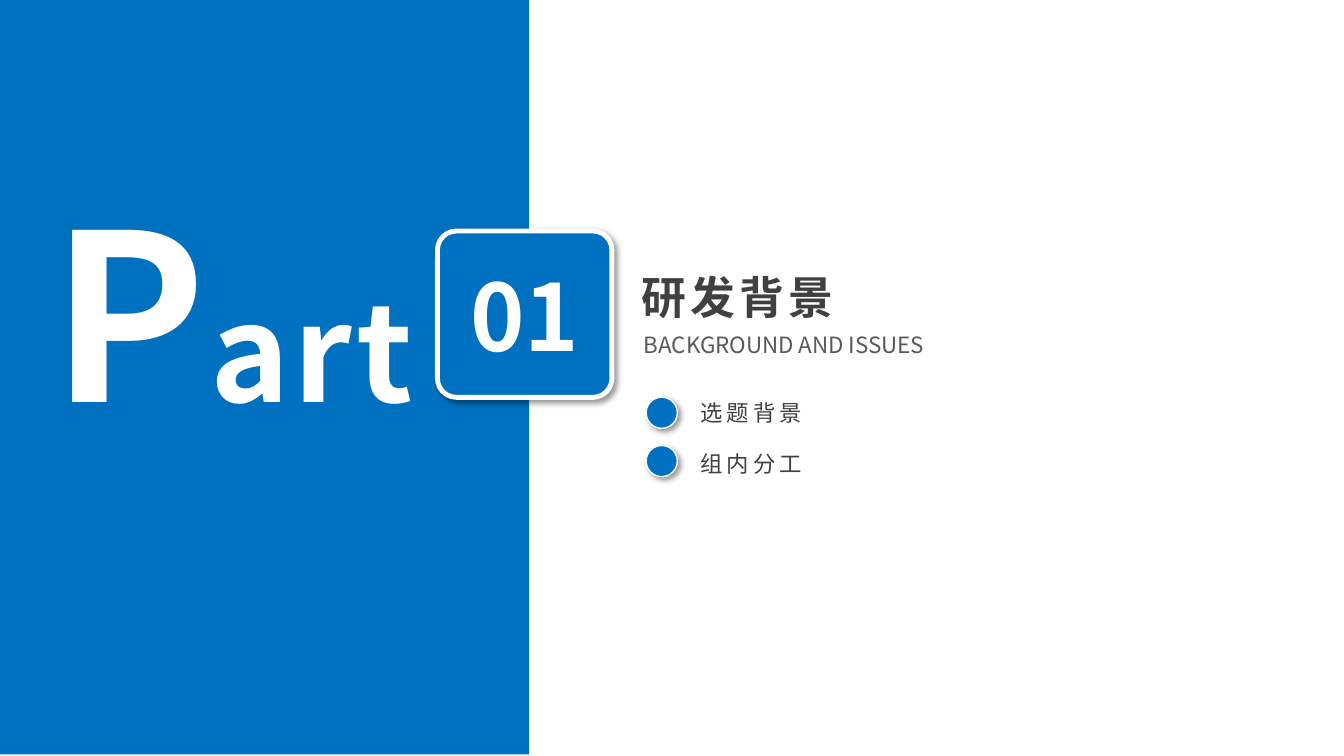
import pptx
import pptx.util
import pptx.dml.color
import pptx.enum.shapes
import pptx.enum.text
import pptx.oxml
import pptx.oxml.ns
from dataclasses import dataclass

Pt = pptx.util.Pt
SHAPES = pptx.enum.shapes.MSO_SHAPE
ALIGN = pptx.enum.text.PP_ALIGN


@dataclass(frozen=True)
class Theme:
    font: str = "Noto Sans CJK SC"
    blue: str = "0070C0"
    white: str = "FFFFFF"
    dark: str = "404040"
    grey: str = "595959"
    initial: int = 166
    label: int = 96
    number: int = 66
    title: int = 32
    body: int = 16
    spacing: int = 3


class SectionPage:
    def __init__(self, deck, theme):
        self.theme = theme
        self.page = deck.slides.add_slide(deck.slide_layouts[6])

    def shape(self, kind, left, top, width, height, outline=0, corner=None):
        shape = self.page.shapes.add_shape(
            kind, Pt(left), Pt(top), Pt(width), Pt(height))
        shape.shadow.inherit = False
        shape.fill.solid()
        shape.fill.fore_color.rgb = pptx.dml.color.RGBColor.from_string(self.theme.blue)
        if corner is not None:
            shape.adjustments[0] = corner
        if outline:
            shape.line.width = Pt(outline)
            shape.line.color.rgb = pptx.dml.color.RGBColor.from_string(self.theme.white)
            self.cast_shadow(shape)
        else:
            shape.line.fill.background()

    def cast_shadow(self, shape):
        effects = shape._element.spPr.find(pptx.oxml.ns.qn("a:effectLst"))
        effects.append(pptx.oxml.parse_xml(
            f'<a:outerShdw {pptx.oxml.ns.nsdecls("a")} blurRad="{Pt(4)}" dist="{Pt(3)}"'
            ' dir="2700000" algn="tl" rotWithShape="0">'
            '<a:srgbClr val="000000"><a:alpha val="40000"/></a:srgbClr></a:outerShdw>'))

    def text(self, spans, left, top, width, height, color,
             bold=False, spacing=0, align=ALIGN.LEFT):
        box = self.page.shapes.add_textbox(Pt(left), Pt(top), Pt(width), Pt(height))
        frame = box.text_frame
        frame.word_wrap = True
        frame.auto_size = pptx.enum.text.MSO_AUTO_SIZE.SHAPE_TO_FIT_TEXT
        para = frame.paragraphs[0]
        para.alignment = align
        for words, size in spans:
            span = para.add_run()
            span.text = words
            formats = {"size": Pt(size), "name": self.theme.font, "bold": bold}
            for name, value in formats.items():
                setattr(span.font, name, value)
            span.font.color.rgb = pptx.dml.color.RGBColor.from_string(color)
            properties = span._r.get_or_add_rPr()
            if spacing:
                properties.set("spc", str(spacing * 100))
            properties.append(pptx.oxml.parse_xml(
                f'<a:ea {pptx.oxml.ns.nsdecls("a")} typeface="{self.theme.font}"/>'))


def main():
    deck = pptx.Presentation()
    deck.slide_width, deck.slide_height = Pt(960), Pt(540)
    theme = Theme()
    page = SectionPage(deck, theme)

    page.shape(SHAPES.RECTANGLE, 0, -1.2, 378, 540)
    page.text([("P", theme.initial), ("art", theme.label)], -59.8, 118.1, 451.4, 208.1,
              theme.white, bold=True, spacing=theme.spacing, align=ALIGN.CENTER)

    page.shape(SHAPES.ROUNDED_RECTANGLE, 312.5, 165, 124.6, 118.8,
               outline=3.5, corner=0.114)
    page.text([("01", theme.number)], 308.2, 181.4, 133.2, 87.1,
              theme.white, bold=True, align=ALIGN.CENTER)

    page.text([("研发背景", theme.title)], 451.4, 189.4, 272.9, 46.1,
              theme.dark, bold=True, spacing=theme.spacing)
    page.text([("BACKGROUND AND ISSUES", theme.body)], 452.9, 233.3, 235.4, 26.6,
              theme.grey)

    topics = [("选题背景", 283.7, 281.5), ("组内分工", 318.2, 318.2)]
    for topic, dot_top, text_top in topics:
        page.shape(SHAPES.OVAL, 461.5, dot_top, 22.3, 22.3, outline=1)
        page.text([(topic, theme.body)], 493.2, text_top, 128.9, 26.6,
                  theme.dark, spacing=theme.spacing)

    deck.save("out.pptx")


if __name__ == "__main__":
    main()
